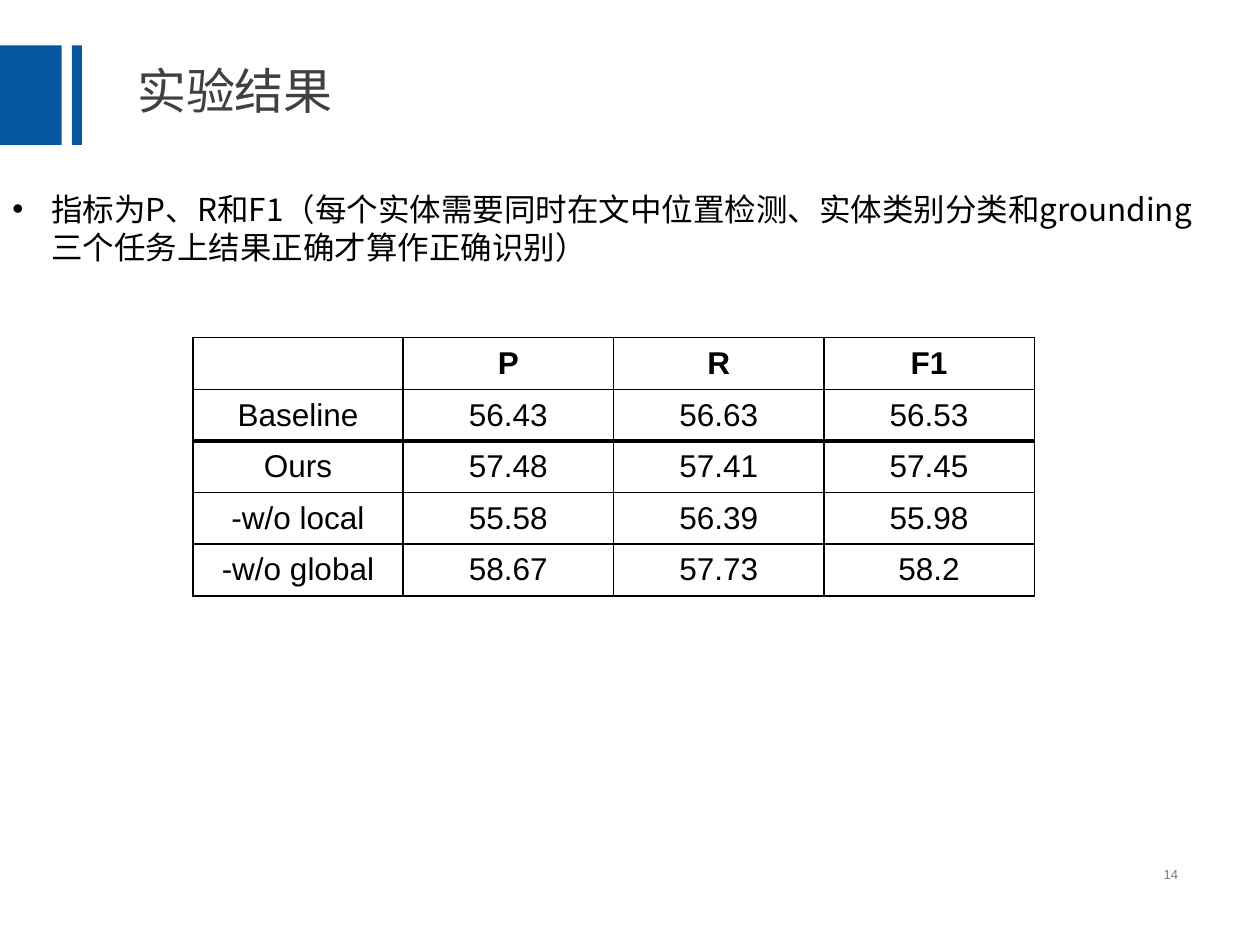
"""Build the experiment results slide with its metric note and score table."""
import dataclasses

import lxml.etree
import pptx
import pptx.dml.color
import pptx.enum.shapes
import pptx.enum.text
import pptx.oxml.ns
import pptx.util

Inches = pptx.util.Inches
Align = pptx.enum.text.PP_ALIGN
Anchor = pptx.enum.text.MSO_ANCHOR
COLORS = {"accent": "0757A0", "title": "404040", "text": "000000", "number": "808080"}
CJK = "Noto Sans CJK SC"
SCORES = [
    ("", "P", "R", "F1"),
    ("Baseline", "56.43", "56.63", "56.53"),
    ("Ours", "57.48", "57.41", "57.45"),
    ("-w/o local", "55.58", "56.39", "55.98"),
    ("-w/o global", "58.67", "57.73", "58.2"),
]
COLUMN_WIDTH, ROW_HEIGHT = 1.67, 0.41
THICK_RULE_AFTER = 1


@dataclasses.dataclass
class Bar:
    left: float
    width: float


@dataclasses.dataclass
class Label:
    text: str
    left: float
    top: float
    width: float
    height: float
    size: float
    color: str
    font: str = CJK
    align: Align = Align.LEFT
    anchor: Anchor = Anchor.MIDDLE
    spacing: float = 1.0
    bullet: bool = False


BARS = [Bar(-0.02, 0.51), Bar(0.57, 0.08)]
LABELS = [
    Label("实验结果", 0.99, 0.36, 8.9, 0.76, 28, "title", spacing=0.9),
    Label("14", 7.06, 6.82, 2.39, 0.23, 7.5, "number", "Arial", Align.RIGHT),
    Label("指标为P、R和F1（每个实体需要同时在文中位置检测、实体类别分类和grounding三个任务上结果正确才算作正确识别）",
          0, 1.46, 9.73, 0.71, 18, "text", anchor=Anchor.TOP, bullet=True),
]


def add_element(parent, tag: str, **attributes: str):
    return lxml.etree.SubElement(parent, pptx.oxml.ns.qn(tag), attributes)


def style_para(para, name: str, size: float, color: str, bold: bool = False) -> None:
    para.font.name = name
    para.font.size = pptx.util.Pt(size)
    para.font.bold = bold
    para.font.color.rgb = pptx.dml.color.RGBColor.from_string(COLORS[color])
    add_element(para.font._element, "a:ea", typeface=name)


def draw_bar(page, bar: Bar) -> None:
    box = page.shapes.add_shape(
        pptx.enum.shapes.MSO_SHAPE.RECTANGLE,
        Inches(bar.left), Inches(0.36), Inches(bar.width), Inches(0.79))
    box.shadow.inherit = False
    box.fill.solid()
    box.fill.fore_color.rgb = pptx.dml.color.RGBColor.from_string(COLORS["accent"])
    box.line.fill.background()


def draw_label(page, label: Label) -> None:
    box = page.shapes.add_textbox(
        Inches(label.left), Inches(label.top), Inches(label.width), Inches(label.height))
    box.text_frame.word_wrap = True
    box.text_frame.vertical_anchor = label.anchor
    para = box.text_frame.paragraphs[0]
    para.text = label.text
    para.alignment = label.align
    para.line_spacing = label.spacing
    if label.bullet:
        properties = para._p.get_or_add_pPr()
        properties.set("marL", str(Inches(0.31)))
        properties.set("indent", str(Inches(-0.31)))
        add_element(properties, "a:buFont", typeface="Arial")
        add_element(properties, "a:buChar", char="•")
    style_para(para, label.font, label.size, label.color)


def draw_borders(cell, top: float, bottom: float) -> None:
    properties = cell._tc.get_or_add_tcPr()
    for side, points in (("L", 1), ("R", 1), ("T", top), ("B", bottom)):
        line = add_element(properties, f"a:ln{side}", w=str(pptx.util.Pt(points)))
        add_element(add_element(line, "a:solidFill"), "a:srgbClr", val=COLORS["text"])


def draw_table(page) -> None:
    rows, columns = len(SCORES), len(SCORES[0])
    table = page.shapes.add_table(
        rows, columns, Inches(1.53), Inches(2.68),
        Inches(COLUMN_WIDTH * columns), Inches(ROW_HEIGHT * rows)).table
    table.horz_banding = False
    for column in table.columns:
        column.width = Inches(COLUMN_WIDTH)
    for index, values in enumerate(SCORES):
        table.rows[index].height = Inches(ROW_HEIGHT)
        top = 3 if index == THICK_RULE_AFTER + 1 else 1
        bottom = 3 if index == THICK_RULE_AFTER else 1
        for position, value in enumerate(values):
            cell = table.cell(index, position)
            draw_borders(cell, top, bottom)
            cell.fill.background()
            cell.vertical_anchor = Anchor.MIDDLE
            para = cell.text_frame.paragraphs[0]
            para.text = value
            para.alignment = Align.CENTER
            style_para(para, "Arial", 18, "text", bold=index == 0)


def main() -> None:
    deck = pptx.Presentation()
    deck.slide_width, deck.slide_height = Inches(10), Inches(7.5)
    page = deck.slides.add_slide(deck.slide_layouts[6])
    for bar in BARS:
        draw_bar(page, bar)
    for label in LABELS:
        draw_label(page, label)
    draw_table(page)
    deck.save("out.pptx")


if __name__ == "__main__":
    main()
